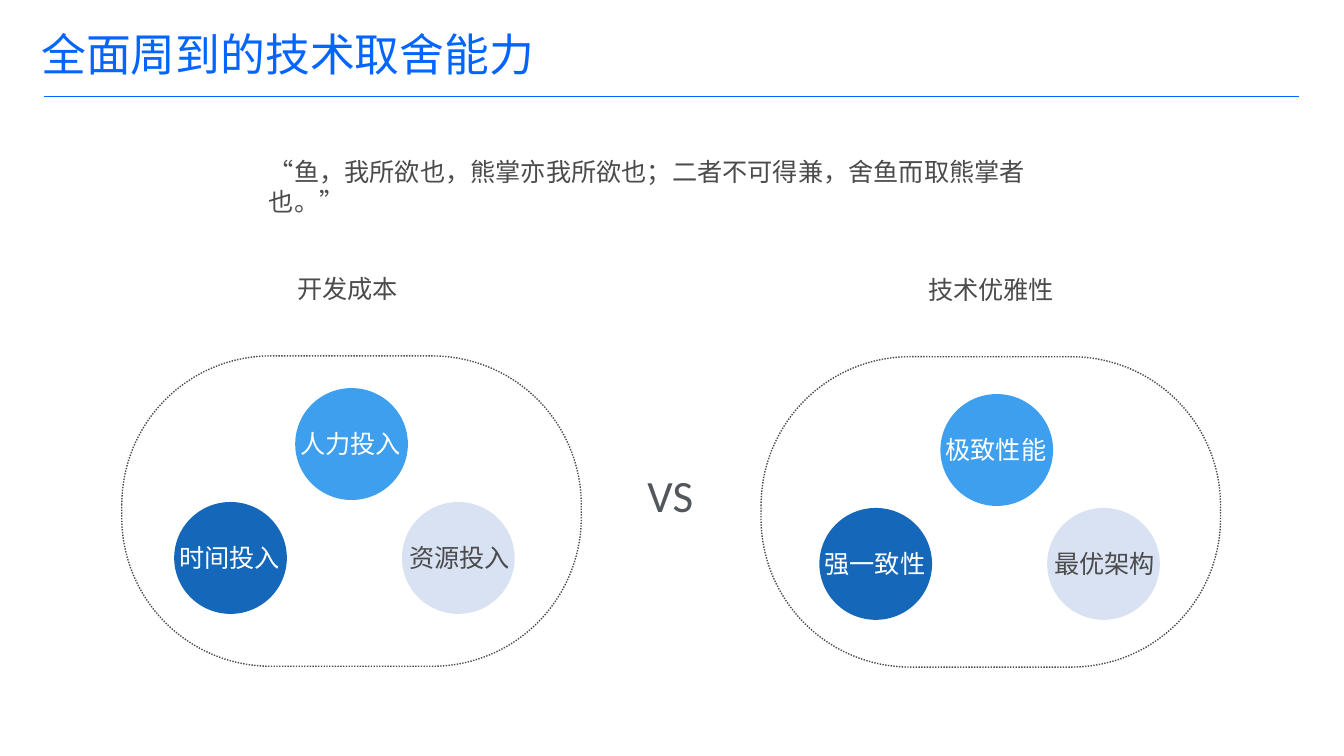
from dataclasses import dataclass

from lxml import etree
from pptx import Presentation
from pptx import util as u
from pptx.dml.color import RGBColor
from pptx.enum import dml, shapes, text
from pptx.oxml.ns import qn

LATIN, CHINESE = "Calibri", "Noto Sans CJK SC"
BLUE, GREY, WHITE = "0265FF", "4B4B4B", "FFFFFF"
DIAMETER = (2.84, 2.82)


@dataclass(frozen=True)
class Circle:
    """Place of a circle within its side, and of the label within the circle."""
    left: float
    top: float
    label_left: float
    fill: str
    ink: str


@dataclass(frozen=True)
class Side:
    heading: str
    heading_box: tuple[float, float, float, float]
    capsule_at: tuple[float, float]
    circles_at: tuple[float, float]
    labels: tuple[str, str, str]


CIRCLES = (
    Circle(0, 2.87, 0.08, "1567B9", WHITE),
    Circle(3.05, 0, 0.08, "3D9FED", WHITE),
    Circle(5.74, 2.87, 0.13, "D9E2F3", GREY),
)
SIDES = (
    Side("开发成本", (7.24, 6.76, 9.65, 1.8), (3.07, 8.97), (4.39, 9.78),
         ("时间投入", "人力投入", "资源投入")),
    Side("技术优雅性", (23.14, 6.78, 5.18, 1.8), (19.18, 8.99), (20.65, 9.93),
         ("强一致性", "极致性能", "最优架构")),
)


def colour(code: str) -> RGBColor:
    return RGBColor.from_string(code)


def add_text(page, wording: str, left: float, top: float, width: float, height: float, *,
             size: float = 18, font: str = LATIN, ink: str = GREY, inset: float | None = None,
             align=text.PP_ALIGN.LEFT, anchor=text.MSO_ANCHOR.TOP,
             spacing: float = 1.0, wrap: bool = True):
    box = page.shapes.add_textbox(u.Cm(left), u.Cm(top), u.Cm(width), u.Cm(height))
    frame = box.text_frame
    frame.word_wrap = wrap
    frame.vertical_anchor = anchor
    if inset is not None:
        frame.margin_left = frame.margin_right = u.Cm(inset)
        frame.margin_top = frame.margin_bottom = u.Cm(inset)
    para = frame.paragraphs[0]
    para.alignment = align
    para.line_spacing = spacing
    span = para.add_run()
    span.text = wording
    span.font.size = u.Pt(size)
    span.font.name = font
    span.font.color.rgb = colour(ink)
    etree.SubElement(span._r.get_or_add_rPr(), qn("a:ea"), typeface=CHINESE)
    return box


def add_rule(page, left: float, right: float, top: float) -> None:
    rule = page.shapes.add_connector(shapes.MSO_CONNECTOR.STRAIGHT,
                                     u.Cm(left), u.Cm(top), u.Cm(right), u.Cm(top))
    rule.line.color.rgb = colour(BLUE)
    rule.line.width = u.Pt(1)
    etree.SubElement(rule._element.spPr, qn("a:effectLst"))


def add_capsule(page, left: float, top: float) -> None:
    capsule = page.shapes.add_shape(shapes.MSO_SHAPE.ROUNDED_RECTANGLE,
                                    u.Cm(left), u.Cm(top), u.Cm(11.58), u.Cm(7.82))
    capsule.adjustments[0] = 0.48
    capsule.shadow.inherit = False
    capsule.fill.background()
    capsule.line.color.rgb = colour(GREY)
    capsule.line.width = u.Pt(1)
    capsule.line.dash_style = dml.MSO_LINE.ROUND_DOT


def add_circle(page, circle: Circle, label: str, origin: tuple[float, float]) -> None:
    left, top = origin[0] + circle.left, origin[1] + circle.top
    width, height = DIAMETER
    disc = page.shapes.add_shape(shapes.MSO_SHAPE.OVAL,
                                 u.Cm(left), u.Cm(top), u.Cm(width), u.Cm(height))
    disc.shadow.inherit = False
    disc.fill.solid()
    disc.fill.fore_color.rgb = colour(circle.fill)
    disc.line.fill.background()
    add_text(page, label, left + circle.label_left, top + 0.97, width, 0.89,
             font=CHINESE, ink=circle.ink, inset=0.05)


def add_side(page, side: Side) -> None:
    add_text(page, side.heading, *side.heading_box)
    add_capsule(page, *side.capsule_at)
    for circle, label in zip(CIRCLES, side.labels):
        add_circle(page, circle, label, side.circles_at)


def main() -> None:
    deck = Presentation()
    deck.slide_width, deck.slide_height = u.Cm(33.87), u.Cm(19.05)
    page = deck.slides.add_slide(deck.slide_layouts[6])
    add_rule(page, 1.12, 32.74, 2.43)
    add_text(page, "全面周到的技术取舍能力", 0.91, 0.43, 25.04, 2.01, size=32, ink=BLUE,
             inset=0.13, anchor=text.MSO_ANCHOR.MIDDLE, spacing=0.9)
    add_text(page, "“鱼，我所欲也，熊掌亦我所欲也；二者不可得兼，舍鱼而取熊掌者也。”",
             6.53, 3.81, 21.01, 1.8)
    for side in SIDES:
        add_side(page, side)
    add_text(page, "VS", 15.88, 11.66, 2.03, 1.63, size=32, ink="53575C",
             align=text.PP_ALIGN.CENTER, wrap=False)
    deck.save("out.pptx")


if __name__ == "__main__":
    main()
